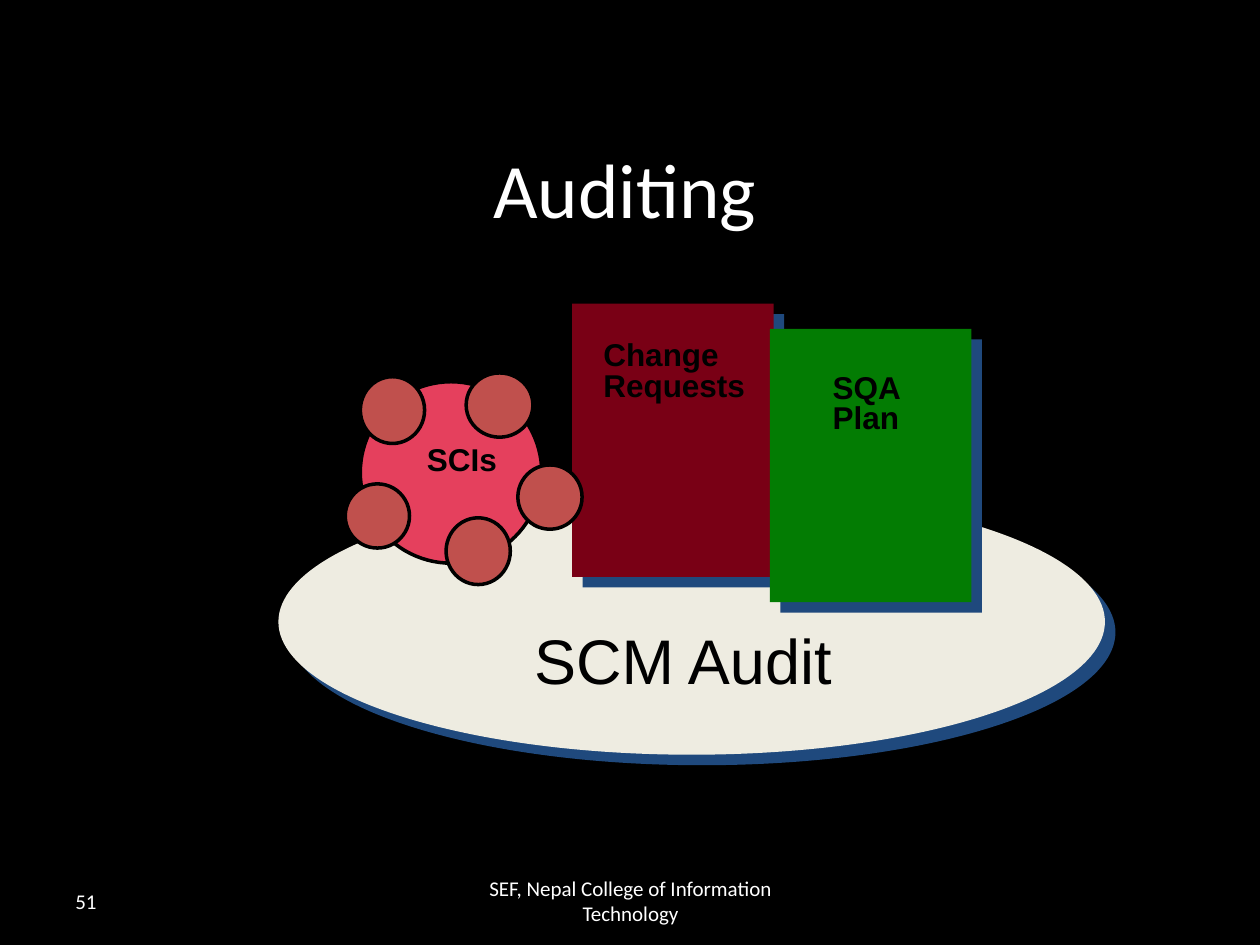
from lxml.etree import SubElement
from pptx import Presentation
from pptx.dml.color import RGBColor
from pptx.enum.shapes import MSO_SHAPE as Shape
from pptx.enum.text import MSO_ANCHOR as Anchor, MSO_AUTO_SIZE as AutoSize, PP_ALIGN as Align
from pptx.oxml.ns import qn
from pptx.util import Inches, Pt

BLACK, WHITE, SHADOW = "000000", "FFFFFF", "1F497D"


def color(value):
    return RGBColor.from_string(value)


def write(frame, text, size=18, font="Arial", fill=BLACK, bold=False,
          align=Align.LEFT, anchor=Anchor.TOP, spacing=None, wrap=False):
    """Fill a text frame, one paragraph per line of text."""
    frame.word_wrap = wrap
    frame.auto_size = AutoSize.NONE if wrap else AutoSize.SHAPE_TO_FIT_TEXT
    frame.vertical_anchor = anchor
    frame.text = text
    for para in frame.paragraphs:
        para.alignment = align
        para.line_spacing = spacing
        para.font.name = font
        para.font.size = Pt(size)
        para.font.bold = bold
        para.font.color.rgb = color(fill)


def add_label(slide, text, left, top, width, height, **text_format):
    box = slide.shapes.add_textbox(Inches(left), Inches(top), Inches(width), Inches(height))
    write(box.text_frame, text, **text_format)


def add_figure(slide, kind, left, top, width, height, fill, outlined=False):
    figure = slide.shapes.add_shape(kind, Inches(left), Inches(top), Inches(width), Inches(height))
    figure.shadow.inherit = False
    figure.fill.solid()
    figure.fill.fore_color.rgb = color(fill)
    if outlined:
        figure.line.color.rgb = color(BLACK)
        figure.line.width = Pt(2)
    else:
        figure.line.fill.background()
    return figure


def add_hard_shadow(figure):
    """Solid shadow, 8.5 points away towards the lower right."""
    effects = figure._element.spPr.find(qn("a:effectLst"))
    shadow = SubElement(effects, qn("a:outerShdw"), blurRad="0", dist=str(Pt(8.5)),
                        dir=str(45 * 60000), algn="ctr", rotWithShape="0")
    SubElement(shadow, qn("a:srgbClr"), val=SHADOW)


def add_title(slide, text):
    title = slide.shapes.title
    title.left, title.top = Inches(1.42), Inches(1.17)
    title.width, title.height = Inches(7.08), Inches(0.64)
    write(title.text_frame, text, size=44, font="Calibri", fill=WHITE,
          align=Align.CENTER, anchor=Anchor.MIDDLE, wrap=True)


def add_footer(slide):
    footer_format = dict(size=12, font="Calibri", fill=WHITE, anchor=Anchor.MIDDLE, wrap=True)
    add_label(slide, "51", 0.5, 6.95, 2.33, 0.4, **footer_format)
    add_label(slide, "SEF, Nepal College of Information Technology",
              3.42, 6.95, 3.17, 0.4, align=Align.CENTER, **footer_format)


def main():
    deck = Presentation()
    deck.slide_width, deck.slide_height = Inches(10), Inches(7.5)
    slide = deck.slides.add_slide(deck.slide_layouts[5])
    slide.background.fill.solid()
    slide.background.fill.fore_color.rgb = color(BLACK)
    add_title(slide, "Auditing")

    # Audit platform and the two documents standing on it
    for kind, left, top, width, height, fill in (
        (Shape.OVAL, 2.21, 3.88, 6.56, 2.11, "EEECE1"),
        (Shape.RECTANGLE, 4.54, 2.41, 1.6, 2.17, "790015"),
        (Shape.RECTANGLE, 6.11, 2.61, 1.6, 2.17, "037C03"),
    ):
        add_hard_shadow(add_figure(slide, kind, left, top, width, height, fill))

    # Configuration items: a large circle with satellites around it
    add_figure(slide, Shape.OVAL, 2.86, 3.03, 1.44, 1.44, "E5405D", outlined=True)
    add_label(slide, "SCIs", 3.29, 3.44, 0.77, 0.4, bold=True)
    for left, top, width, height in (
        (3.54, 4.11, 0.51, 0.53),
        (4.11, 3.69, 0.51, 0.51),
        (3.7, 2.96, 0.53, 0.51),
        (2.86, 2.99, 0.51, 0.53),
        (2.74, 3.84, 0.51, 0.51),
    ):
        add_figure(slide, Shape.OVAL, left, top, width, height, "C0504D", outlined=True)

    # Labels of the documents and the platform
    add_label(slide, "Change\nRequests", 4.69, 2.67, 1.34, 0.58, bold=True, spacing=0.8)
    add_label(slide, "SQA\nPlan", 6.51, 2.93, 0.74, 0.58, bold=True, spacing=0.8)
    add_label(slide, "SCM Audit", 4.14, 4.88, 2.59, 0.7, size=36)

    add_footer(slide)
    deck.save("out.pptx")


if __name__ == "__main__":
    main()
